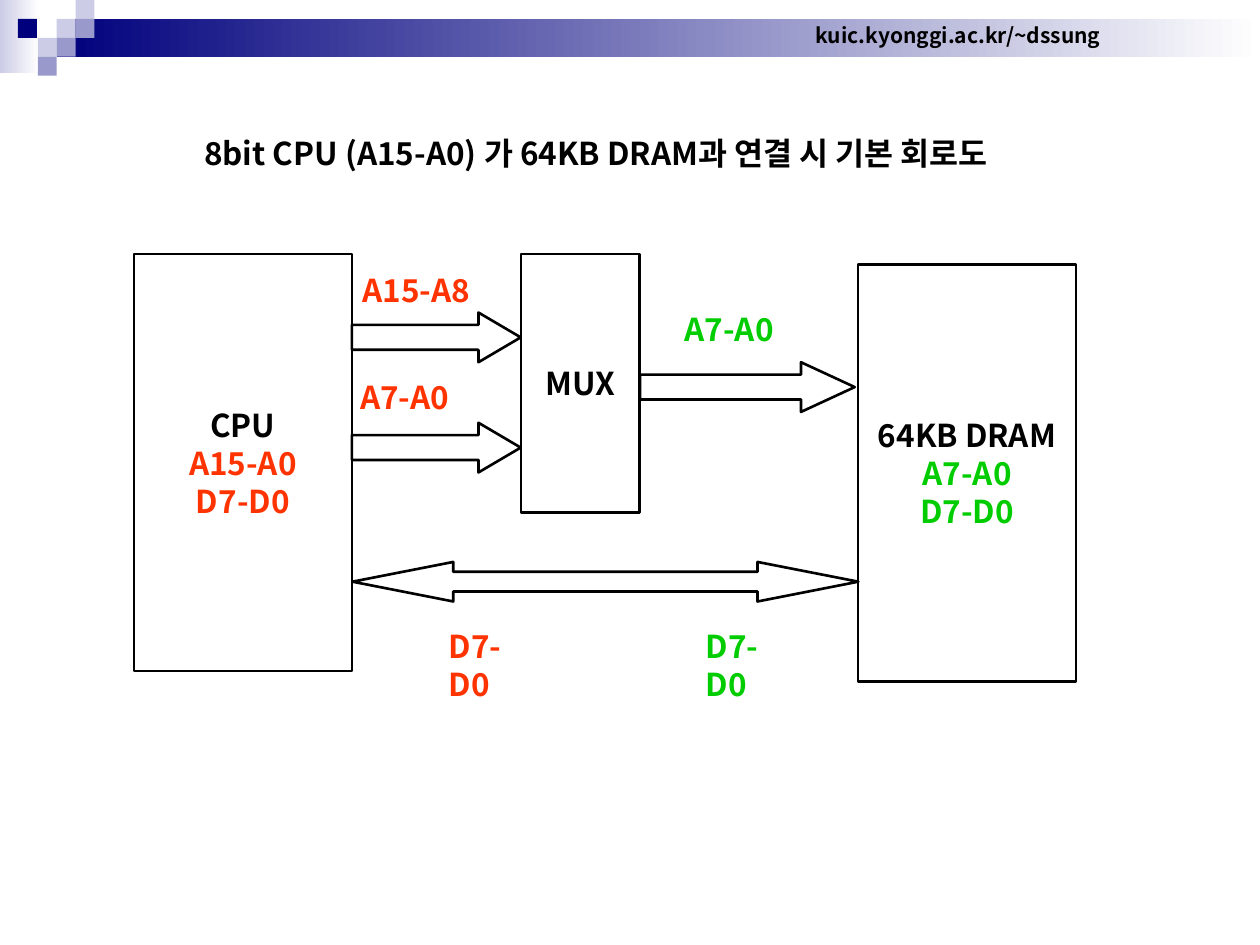
from dataclasses import dataclass

from lxml.etree import SubElement
from pptx import Presentation
from pptx.dml.color import RGBColor
from pptx.enum.shapes import MSO_SHAPE
from pptx.enum.text import MSO_ANCHOR, MSO_AUTO_SIZE, PP_ALIGN
from pptx.oxml.ns import qn
from pptx.util import Pt


@dataclass(frozen=True)
class Theme:
    font: str = "Noto Sans CJK KR"
    body: int = 18
    small: int = 12
    line: float = 1.5
    black: str = "000000"
    white: str = "FFFFFF"
    navy: str = "00007D"
    violet: str = "9999CC"
    lilac: str = "CCCCE6"
    cpu: str = "FF3300"
    dram: str = "00CC00"


THEME = Theme()
UNIT = 10.8  # side of a header square


def rgb(color):
    return RGBColor.from_string(color)


def place(sp, left, top, width, height):
    sp.left, sp.top, sp.width, sp.height = map(Pt, (left, top, width, height))


def write(sp, lines, align=PP_ALIGN.LEFT, anchor=MSO_ANCHOR.TOP,
          size=THEME.body, wrap=False):
    """Fill a shape with (text, color) lines in the theme font."""
    tf = sp.text_frame
    tf.auto_size = MSO_AUTO_SIZE.NONE
    tf.word_wrap = wrap
    tf.vertical_anchor = anchor
    tf.text = "\n".join(text for text, _ in lines)
    for p, (_, color) in zip(tf.paragraphs, lines):
        p.alignment = align
        p.font.name = THEME.font
        p.font.size = Pt(size)
        p.font.bold = True
        p.font.color.rgb = rgb(color)
        # Hangul takes the East Asian font
        SubElement(p._p.pPr.find(qn("a:defRPr")), qn("a:ea"), typeface=THEME.font)


def add_label(slide, text, box, color, **style):
    sp = slide.shapes.add_textbox(*map(Pt, box))
    write(sp, [(text, color)], **style)


def add_outlined(slide, kind, box, adjustments=()):
    sp = slide.shapes.add_shape(kind, *map(Pt, box))
    sp.shadow.inherit = False
    sp.fill.solid()
    sp.fill.fore_color.rgb = rgb(THEME.white)
    sp.line.color.rgb = rgb(THEME.black)
    sp.line.width = Pt(THEME.line)
    for i, value in enumerate(adjustments):
        sp.adjustments[i] = value
    return sp


def add_block(slide, box, lines):
    sp = add_outlined(slide, MSO_SHAPE.RECTANGLE, box)
    write(sp, lines, align=PP_ALIGN.CENTER, anchor=MSO_ANCHOR.MIDDLE)


def add_band(slide, box, *colors):
    """Add a borderless rectangle: one color is solid, two are a gradient."""
    sp = slide.shapes.add_shape(MSO_SHAPE.RECTANGLE, *map(Pt, box))
    sp.shadow.inherit = False
    sp.line.fill.background()
    if len(colors) == 1:
        sp.fill.solid()
        sp.fill.fore_color.rgb = rgb(colors[0])
    else:
        sp.fill.gradient()
        sp.fill.gradient_angle = 0
        for stop, color in zip(sp.fill.gradient_stops, colors):
            stop.color.rgb = rgb(color)


def add_header(slide):
    add_band(slide, (0, 0, 22.3, 41.8), THEME.lilac, THEME.white)
    add_band(slide, (3 * UNIT, UNIT, 720 - 3 * UNIT, 2 * UNIT), THEME.navy, THEME.white)
    squares = [
        (3, 1, THEME.lilac), (4, 0, THEME.lilac), (4, 1, THEME.violet),
        (2, 2, THEME.lilac), (0.95, 1, THEME.navy), (3, 2, THEME.violet),
        (2, 3, THEME.violet),
    ]
    for col, row, color in squares:
        add_band(slide, (col * UNIT, row * UNIT, UNIT, UNIT), color)
    add_label(slide, "kuic.kyonggi.ac.kr/~dssung", (457.9, 9.4, 179.3, 21.6),
              THEME.black, size=THEME.small, align=PP_ALIGN.CENTER,
              anchor=MSO_ANCHOR.MIDDLE)


def main():
    prs = Presentation()
    prs.slide_width, prs.slide_height = Pt(720), Pt(540)
    slide = prs.slides.add_slide(prs.slide_layouts[5])

    add_header(slide)

    # Title
    title = slide.shapes.title
    place(title, 109.4, 72.7, 481, 28.8)
    write(title, [("8bit CPU (A15-A0) 가 64KB DRAM과 연결 시 기본 회로도", THEME.black)])

    # Circuit blocks
    add_block(slide, (76.5, 145.2, 124.6, 238.3),
              [("CPU", THEME.black), ("A15-A0", THEME.cpu), ("D7-D0", THEME.cpu)])
    add_block(slide, (297.6, 145.2, 67.9, 147.6), [("MUX", THEME.black)])
    add_block(slide, (490.3, 151.2, 124.6, 238.3),
              [("64KB DRAM", THEME.black), ("A7-A0", THEME.dram), ("D7-D0", THEME.dram)])

    # Address and data buses
    right, both = MSO_SHAPE.RIGHT_ARROW, MSO_SHAPE.LEFT_RIGHT_ARROW
    add_outlined(slide, right, (201.1, 178.6, 96.5, 28.4), (0.5, 0.85))
    add_outlined(slide, right, (201.1, 241.6, 96.5, 28.4), (0.5, 0.85))
    add_outlined(slide, right, (365.8, 207, 122.6, 28.4), (0.5, 1.08))
    add_outlined(slide, both, (201.4, 321.1, 289.1, 22.6), (0.5, 2.55))

    # Bus labels
    add_label(slide, "A15-A8", (200, 151.2, 75.6, 28.8), THEME.cpu)
    add_label(slide, "A7-A0", (198.7, 212.6, 65.5, 28.8), THEME.cpu)
    add_label(slide, "A7-A0", (384, 173.5, 65.5, 28.8), THEME.dram)
    for left, color in ((249.3, THEME.cpu), (396.2, THEME.dram)):
        add_label(slide, "D7-D0", (left, 354.6, 66.5, 28.8), color, wrap=True)

    prs.save("out.pptx")


if __name__ == "__main__":
    main()
